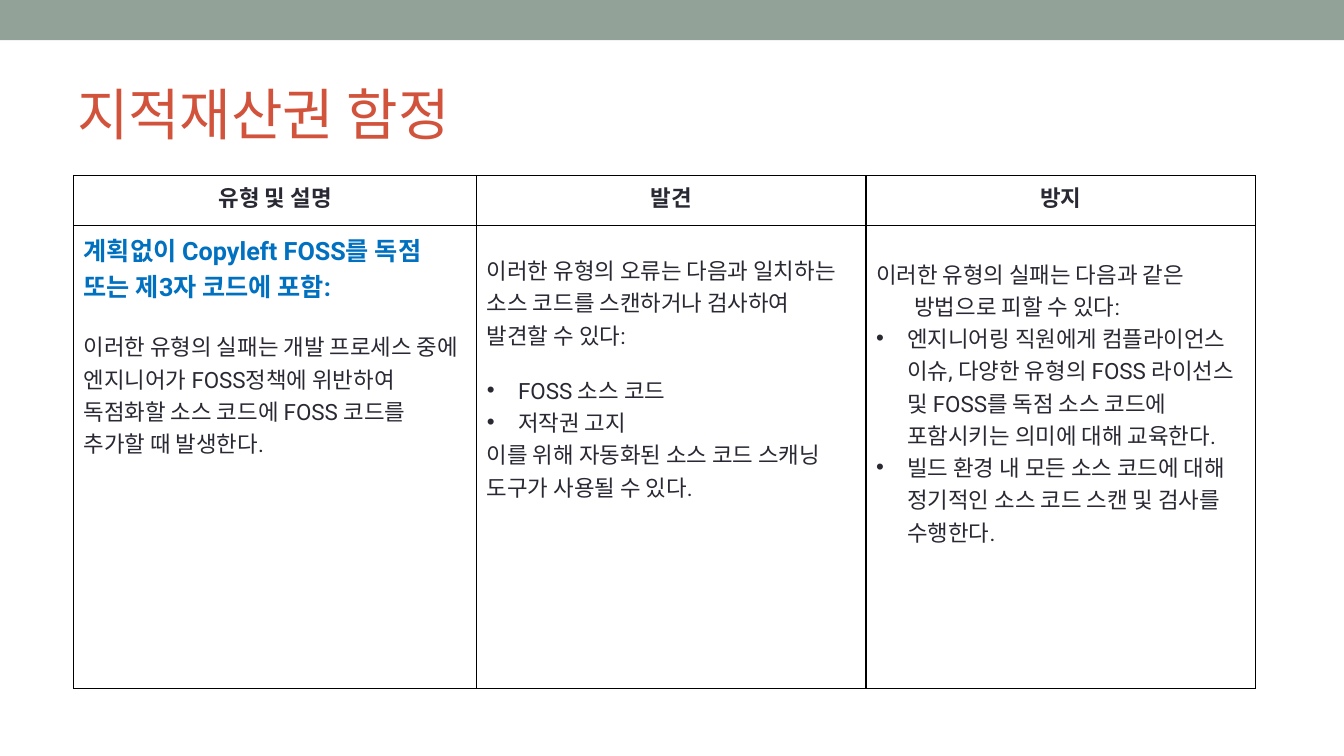
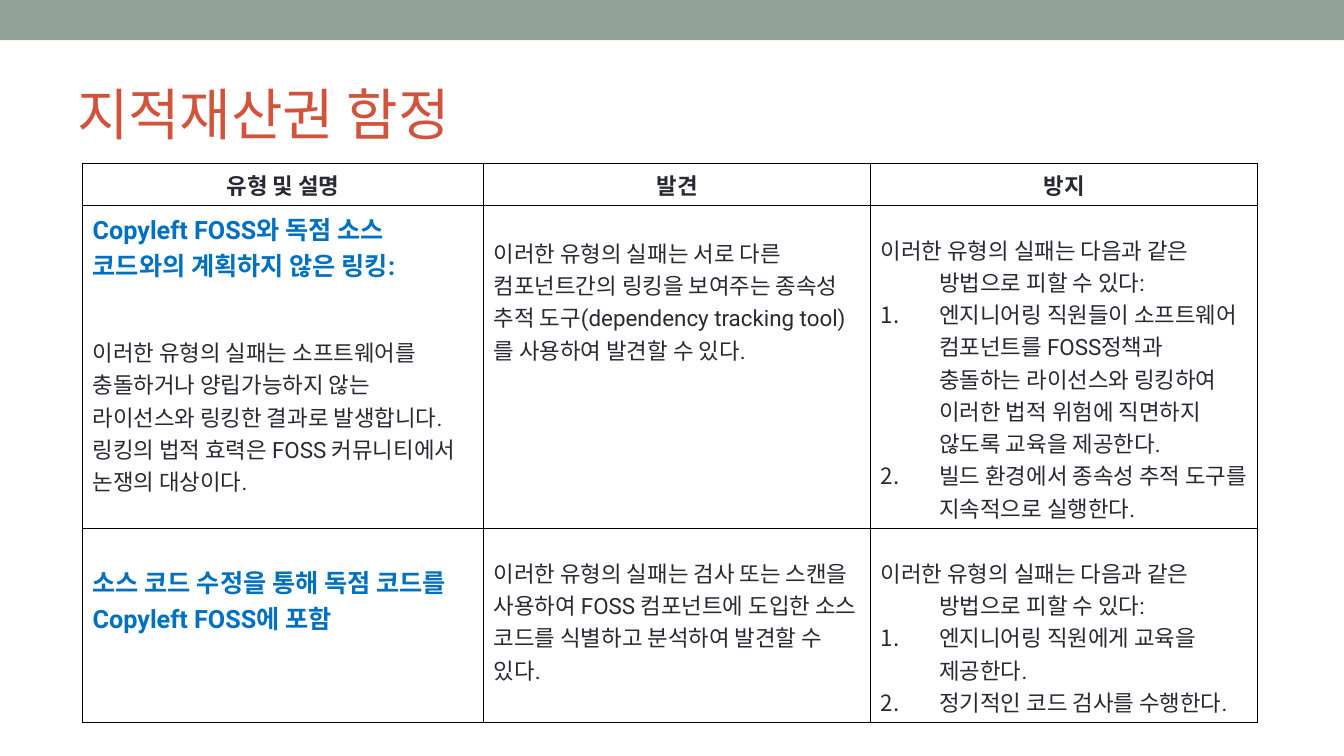
from lxml.etree import SubElement
from pptx import Presentation
from pptx.dml.color import RGBColor
from pptx.enum.shapes import MSO_SHAPE
from pptx.enum.text import MSO_ANCHOR, PP_ALIGN
from pptx.oxml.ns import qn
from pptx.util import Pt

COLORS = {
    "band": "93A299",
    "title": "D2533C",
    "text": "292934",
    "heading": "0070C0",
    "border": "000000",
}
FONT = "Roboto"
TITLE = "지적재산권 함정"
HEADERS = ["유형 및 설명", "발견", "방지"]
INTRO = "이러한 유형의 실패는 다음과 같은 방법으로 피할 수 있다:"
MARGIN = 3.6

# Paragraph styles: size, bold, colour, hanging indent, bullet tag with its attributes
STYLES = {
    "header": (16, True, "text", 0, None),
    "heading": (18, True, "heading", 0, None),
    "text": (16, False, "text", 0, None),
    "intro": (16, False, "text", 27.4, None),
    "wide intro": (16, False, "text", 41.8, None),
    "bullet": (16, False, "text", 22.3, ("a:buChar", {"char": "•"})),
    "number": (16, False, "text", 41.8, ("a:buAutoNum", {"type": "arabicPeriod"})),
}

# Each body cell: top margin, then paragraphs of (style, space before, text)
SLIDES = [
    {
        "left": 52.6, "top": 125.3,
        "columns": [288, 278, 278],
        "rows": [36, 330.5],
        "body": [[
            (MARGIN, [
                ("heading", 0, "계획없이 Copyleft FOSS를 독점 또는 제3자 코드에 포함:"),
                ("text", 18.75, "이러한 유형의 실패는 개발 프로세스 중에 엔지니어가 FOSS정책에 위반하여 "
                                "독점화할 소스 코드에 FOSS 코드를 추가할 때 발생한다."),
            ]),
            (20, [
                ("text", 0, "이러한 유형의 오류는 다음과 일치하는 소스 코드를 스캔하거나 검사하여 "
                            "발견할 수 있다:"),
                ("bullet", 16.4, "FOSS 소스 코드"),
                ("bullet", 0, "저작권 고지"),
                ("text", 0, "이를 위해 자동화된 소스 코드 스캐닝 도구가 사용될 수 있다."),
            ]),
            (22.4, [
                ("intro", 0, INTRO),
                ("bullet", 0, "엔지니어링 직원에게 컴플라이언스 이슈, 다양한 유형의 FOSS 라이선스 및 "
                              "FOSS를 독점 소스 코드에 포함시키는 의미에 대해 교육한다."),
                ("bullet", 0, "빌드 환경 내 모든 소스 코드에 대해 정기적인 소스 코드 스캔 및 검사를 "
                              "수행한다."),
            ]),
        ]],
    },
    {
        "left": 59, "top": 116.6,
        "columns": [286.5, 276.5, 276.5],
        "rows": [30, 231, 138.5],
        "body": [[
            (MARGIN, [
                ("heading", 0, "Copyleft FOSS와 독점 소스 코드와의 계획하지 않은 링킹:"),
                ("text", 37.5, "이러한 유형의 실패는 소프트웨어를 충돌하거나 양립가능하지 않는 "
                               "라이선스와 링킹한 결과로 발생합니다. 링킹의 법적 효력은 FOSS "
                               "커뮤니티에서 논쟁의 대상이다."),
            ]),
            (22.4, [
                ("text", 0, "이러한 유형의 실패는 서로 다른 컴포넌트간의 링킹을 보여주는 종속성 추적 "
                            "도구(dependency tracking tool)를 사용하여 발견할 수 있다."),
            ]),
            (20, [
                ("wide intro", 0, INTRO),
                ("number", 0, "엔지니어링 직원들이 소프트웨어 컴포넌트를 FOSS정책과 충돌하는 "
                              "라이선스와 링킹하여 이러한 법적 위험에 직면하지 않도록 교육을 제공한다."),
                ("number", 0, "빌드 환경에서 종속성 추적 도구를 지속적으로 실행한다."),
            ]),
        ], [
            (24.7, [("heading", 0, "소스 코드 수정을 통해 독점 코드를 Copyleft FOSS에 포함")]),
            (20, [
                ("text", 0, "이러한 유형의 실패는 검사 또는 스캔을 사용하여 FOSS 컴포넌트에 도입한 "
                            "소스 코드를 식별하고 분석하여 발견할 수 있다."),
            ]),
            (20, [
                ("wide intro", 0, INTRO),
                ("number", 0, "엔지니어링 직원에게 교육을 제공한다."),
                ("number", 0, "정기적인 코드 검사를 수행한다."),
            ]),
        ]],
    },
]


def write_paragraph(para, text, style, space_before=0):
    size, bold, color, indent, bullet = STYLES[style]
    para.text = text
    properties = para._p.get_or_add_pPr()
    if indent:
        properties.set("marL", str(Pt(indent)))
        properties.set("indent", str(-Pt(indent)))
    if bullet:
        tag, attributes = bullet
        SubElement(properties, qn("a:buFont"), typeface="Arial")
        SubElement(properties, qn(tag), attributes)
    if space_before:
        para.space_before = Pt(space_before)
    font = para.runs[0].font
    font.name, font.size, font.bold = FONT, Pt(size), bold
    font.color.rgb = RGBColor.from_string(COLORS[color])


def style_cell(cell, top_margin):
    """Set the margins, clear the fill and draw a thin border on all four sides."""
    cell.margin_left = cell.margin_right = Pt(7.2)
    cell.margin_top, cell.margin_bottom = Pt(top_margin), Pt(MARGIN)
    properties = cell._tc.get_or_add_tcPr()
    for side in ("a:lnL", "a:lnR", "a:lnT", "a:lnB"):
        line = SubElement(properties, qn(side), w=str(Pt(1)))
        fill = SubElement(line, qn("a:solidFill"))
        SubElement(fill, qn("a:srgbClr"), val=COLORS["border"])
    cell.fill.background()


deck = Presentation()
deck.slide_width, deck.slide_height = Pt(960), Pt(540)

for content in SLIDES:
    page = deck.slides.add_slide(deck.slide_layouts[6])

    band = page.shapes.add_shape(MSO_SHAPE.RECTANGLE, 0, 0, deck.slide_width, Pt(28.8))
    band.shadow.inherit = False
    band.fill.solid()
    band.fill.fore_color.rgb = RGBColor.from_string(COLORS["band"])
    band.line.fill.background()

    title = page.shapes.add_textbox(Pt(48), Pt(42), Pt(864), Pt(78))
    title.text_frame.word_wrap = True
    title.text_frame.vertical_anchor = MSO_ANCHOR.MIDDLE
    title.text_frame.text = TITLE
    span = title.text_frame.paragraphs[0].runs[0]
    span.font.name, span.font.size = FONT, Pt(40)
    span.font.color.rgb = RGBColor.from_string(COLORS["title"])

    columns, rows = content["columns"], content["rows"]
    table = page.shapes.add_table(
        len(rows), len(columns), Pt(content["left"]), Pt(content["top"]),
        Pt(sum(columns)), Pt(sum(rows))).table
    table.first_row = table.horz_banding = False
    for column, width in zip(table.columns, columns):
        column.width = Pt(width)
    for row, height in zip(table.rows, rows):
        row.height = Pt(height)

    header_row = [(MARGIN, [("header", 0, text)]) for text in HEADERS]
    for row, cells in zip(table.rows, [header_row] + content["body"]):
        for cell, (top_margin, paragraphs) in zip(row.cells, cells):
            style_cell(cell, top_margin)
            frame = cell.text_frame
            for index, (style, space_before, text) in enumerate(paragraphs):
                para = frame.add_paragraph() if index else frame.paragraphs[0]
                write_paragraph(para, text, style, space_before)
                if style == "header":
                    para.alignment = PP_ALIGN.CENTER

deck.save("out.pptx")
